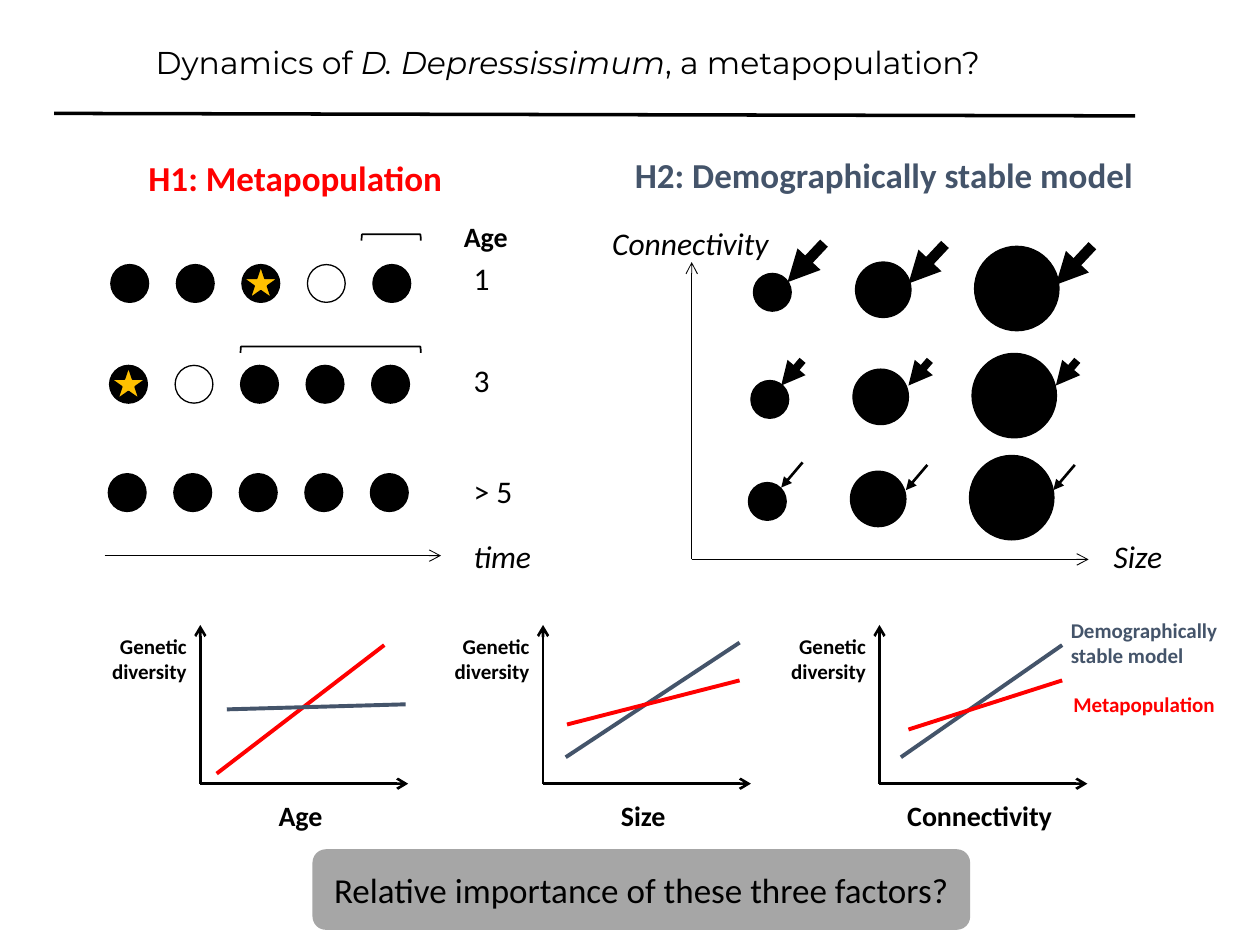
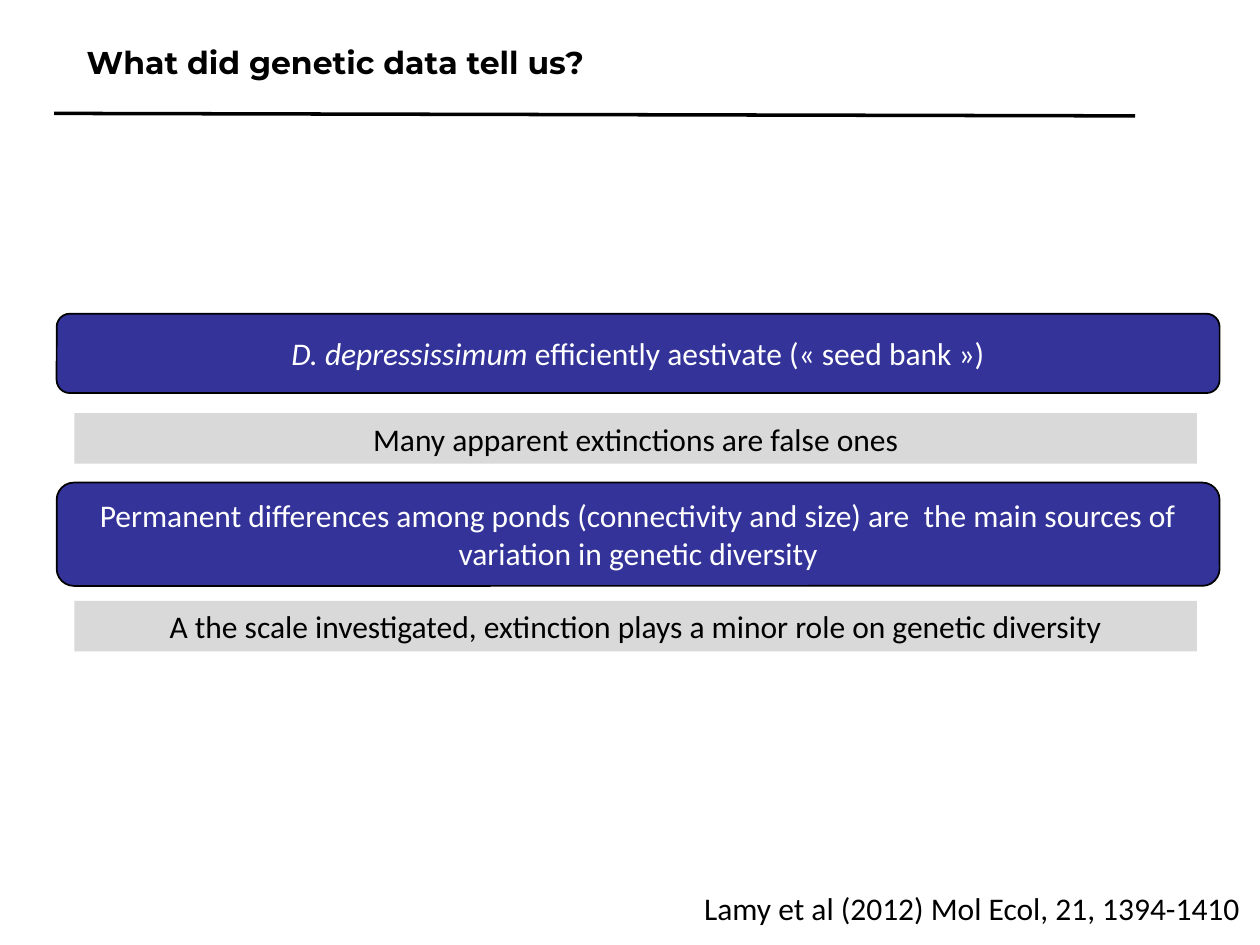
from lxml.etree import SubElement
from pptx import Presentation
from pptx.dml.color import RGBColor
from pptx.enum.shapes import MSO_CONNECTOR, MSO_SHAPE as Shape
from pptx.enum.text import MSO_ANCHOR as Anchor, PP_ALIGN as Align
from pptx.oxml.ns import qn
from pptx.util import Pt

PX = 9144  # EMU per px, 100 px to the inch
COLORS = {"ink": "000000", "paper": "FFFFFF", "meta": "FF0000", "stable": "44546A",
          "star": "FFC000", "question": "A6A6A6", "finding": "333399", "remark": "D9D9D9"}
BODY, HEADING = "Calibri", "Montserrat"

# Slide 1: first hypothesis, ponds observed through time
POND, POND_STEP = 30, 52
POND_ROWS = [  # left, top, states: o occupied, s occupied with star, e empty
    (88, 210, "ooseo"),
    (87, 290, "seooo"),
    (86, 376, "ooooo"),
]
BRACKETS = [(287, 186, 47), (191, 275, 143)]  # left, top, length
AGES = [("1", 201), ("3", 282), ("> 5", 370)]

# Slide 1: second hypothesis, ponds by size (columns) and connectivity (rows)
SIZES = [(613, 2, 30), (701, 0, 44), (807, -1, 67)]  # centre x, y offset, diameter
CONNECTIVITY = [  # centre y, x shift, arrow weight, arrow run and rise, arrow tips
    (230, 0, 6, (29, 31), [(625, 224), (721, 225), (838, 226)]),
    (315, -2, 4.5, (17, 20), [(620, 306), (721, 306), (838, 306)]),
    (396, -4, 1.5, (17, 20), [(620, 387), (719, 389), (836, 389)]),
]

# Slide 1: predictions; line ends are x from the origin, y on the page
PLOT_TOP, PLOT_BASE, PLOT_WIDTH = 496, 622, 165
PLOTS = [
    ("Age", 159, [("meta", (13, 614), (146, 512)), ("stable", (21, 563), (163, 559))]),
    ("Size", 431, [("stable", (18, 601), (156, 510)), ("meta", (19, 575), (156, 540))]),
    ("Connectivity", 698, [("stable", (17, 601), (145, 512)), ("meta", (23, 579), (145, 540))]),
]

# Slide 1: single labels: text, box, style
LABELS = [
    ("H1: Metapopulation", (108, 119, 287, 44), dict(size=20, color="meta", bold=True)),
    ("H2: Demographically stable model", (494, 117, 450, 44),
     dict(size=20, color="stable", bold=True)),
    ("Age", (343, 169, 85, 37), dict(size=16, bold=True, align=Align.CENTER)),
    ("time", (366, 421, 118, 40), dict(italic=True)),
    ("Connectivity", (463, 173, 170, 40), dict(italic=True, align=Align.CENTER)),
    ("Size", (874, 421, 98, 40), dict(italic=True)),
    ("Metapopulation", (842, 544, 149, 30), dict(size=12, color="meta", bold=True)),
    ("Demographically stable model", (840, 485, 172, 51),
     dict(size=12, color="stable", bold=True)),
]
QUESTION = "Relative importance of these three factors?"
TITLE_1 = [("Dynamics of ", False), ("D. Depressissimum", True), (", a metapopulation? ", False)]

# Slide 2
TITLE_2 = "What did genetic data tell us?"
STATEMENTS = [  # kind, top, height, text
    ("finding", 249, 63, [("D. depressissimum", True),
                          (" efficiently aestivate (« seed bank »)", False)]),
    ("remark", 328, 40, "Many apparent extinctions are false ones"),
    ("finding", 383, 82, "Permanent differences among ponds (connectivity and size) are  "
                         "the main sources of variation in genetic diversity"),
    ("remark", 477, 40, "A the scale investigated, extinction plays a minor role on "
                        "genetic diversity"),
]
REFERENCE = "Lamy et al (2012) Mol Ecol, 21, 1394-1410"


def rgb(name):
    return RGBColor.from_string(COLORS[name])


def scaled(lengths):
    return [round(length * PX) for length in lengths]


def write(frame, text, size=18, color="ink", bold=False, italic=False,
          align=Align.LEFT, font=BODY, anchor=Anchor.TOP):
    """Fill a text frame with one paragraph; text is a string or (text, italic) spans."""
    frame.word_wrap = True
    frame.vertical_anchor = anchor
    para = frame.paragraphs[0]
    para.alignment = align
    para.font.name, para.font.size, para.font.bold = font, Pt(size), bold
    para.font.color.rgb = rgb(color)
    if isinstance(text, str):
        para.font.italic = italic
        text = [(text, None)]
    for words, slanted in text:
        span = para.add_run()
        span.text = words
        span.font.italic = slanted


def add_label(page, text, box, **style):
    write(page.shapes.add_textbox(*scaled(box)).text_frame, text, **style)


def add_figure(page, kind, box, fill=None, weight=None):
    figure = page.shapes.add_shape(kind, *scaled(box))
    figure.shadow.inherit = False
    if fill:
        figure.fill.solid()
        figure.fill.fore_color.rgb = rgb(fill)
    else:
        figure.fill.background()
    if weight:
        figure.line.color.rgb = rgb("ink")
        figure.line.width = Pt(weight)
    else:
        figure.line.fill.background()
    return figure


def add_line(page, start, end, weight, color="ink", tip=None):
    """Draw a straight line, with an arrowhead of type tip at its end."""
    line = page.shapes.add_connector(MSO_CONNECTOR.STRAIGHT, *scaled((*start, *end)))
    line.line.color.rgb = rgb(color)
    line.line.width = Pt(weight)
    if tip:
        SubElement(line.line._get_or_add_ln(), qn("a:tailEnd"), type=tip)
    SubElement(line._element.spPr, qn("a:effectLst"))


def add_page(deck, title, box, **style):
    page = deck.slides.add_slide(deck.slide_layouts[6])
    add_label(page, title, box, font=HEADING, anchor=Anchor.MIDDLE, **style)
    add_line(page, (43, 90), (901, 92), 2)
    return page


def draw_pond_history(page):
    for left, top, states in POND_ROWS:
        for column, state in enumerate(states):
            x = left + column * POND_STEP
            add_figure(page, Shape.OVAL, (x, top, POND, POND),
                       "paper" if state == "e" else "ink", 0.75)
            if state == "s":
                add_figure(page, Shape.STAR_5_POINT, (x + 1, top + 1, 28, 26), "star", 1)
    for left, top, length in BRACKETS:
        depth = 5
        turn = (length - depth) / 2
        bracket = add_figure(page, Shape.RIGHT_BRACKET,
                             (left + turn, top - turn, depth, length), weight=1)
        bracket.rotation = 270
    for age, top in AGES:
        add_label(page, age, (366, top, 55, 40))
    add_line(page, (83, 441), (350, 441), 0.5, tip="arrow")


def draw_stable_model(page):
    origin = (549, 444)
    add_line(page, origin, (864, 444), 0.5, tip="arrow")
    add_line(page, origin, (549, 208), 0.5, tip="arrow")
    for center_y, shift, weight, (run, rise), tips in CONNECTIVITY:
        for (center_x, offset, size), (x, y) in zip(SIZES, tips):
            add_figure(page, Shape.OVAL, (center_x + shift - size / 2,
                                          center_y + offset - size / 2, size, size), "ink", 0.75)
            add_line(page, (x + run, y - rise), (x, y), weight, tip="triangle")


def draw_predictions(page):
    for factor, left, trends in PLOTS:
        origin = (left, PLOT_BASE)
        add_line(page, origin, (left, PLOT_TOP), 1.5, tip="arrow")
        add_line(page, origin, (left + PLOT_WIDTH, PLOT_BASE), 1.5, tip="arrow")
        add_label(page, "Genetic diversity", (left - 116, 498, 115, 51),
                  size=12, bold=True, align=Align.RIGHT)
        add_label(page, factor, (left - 1, 629, 161, 37),
                  size=16, bold=True, align=Align.CENTER)
        for model, (x1, y1), (x2, y2) in trends:
            add_line(page, (left + x1, y1), (left + x2, y2), 2.25, model)


def build_hypotheses(deck):
    page = add_page(deck, TITLE_1, (43, 29, 822, 40), align=Align.CENTER)
    draw_pond_history(page)
    draw_stable_model(page)
    draw_predictions(page)
    for text, box, style in LABELS:
        add_label(page, text, box, **style)
    banner = add_figure(page, Shape.ROUNDED_RECTANGLE, (248, 674, 522, 64), "question")
    write(banner.text_frame, QUESTION, size=20, align=Align.CENTER, anchor=Anchor.MIDDLE)


def build_findings(deck):
    page = add_page(deck, TITLE_2, (59, 29, 803, 40), bold=True)
    for kind, top, height, text in STATEMENTS:
        if kind == "finding":
            band = add_figure(page, Shape.ROUNDED_RECTANGLE, (45, top, 923, height), kind, 1)
        else:
            band = add_figure(page, Shape.RECTANGLE, (59, top, 891, height), kind)
        write(band.text_frame, text, color="paper" if kind == "finding" else "ink",
              align=Align.CENTER, anchor=Anchor.MIDDLE)
    add_label(page, REFERENCE, (476, 701, 518, 40), align=Align.RIGHT)


def main():
    deck = Presentation()
    deck.slide_width, deck.slide_height = scaled((1000, 750))
    build_hypotheses(deck)
    build_findings(deck)
    deck.save("out.pptx")


if __name__ == "__main__":
    main()
